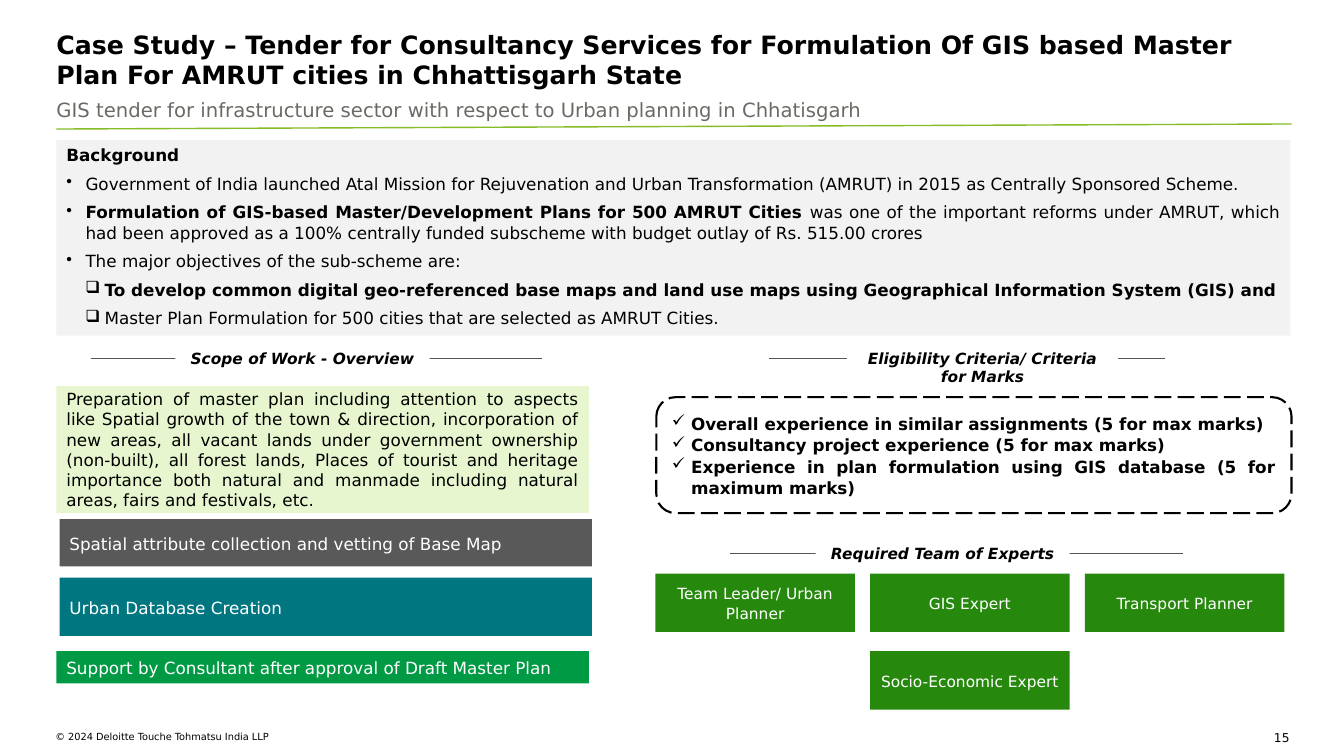
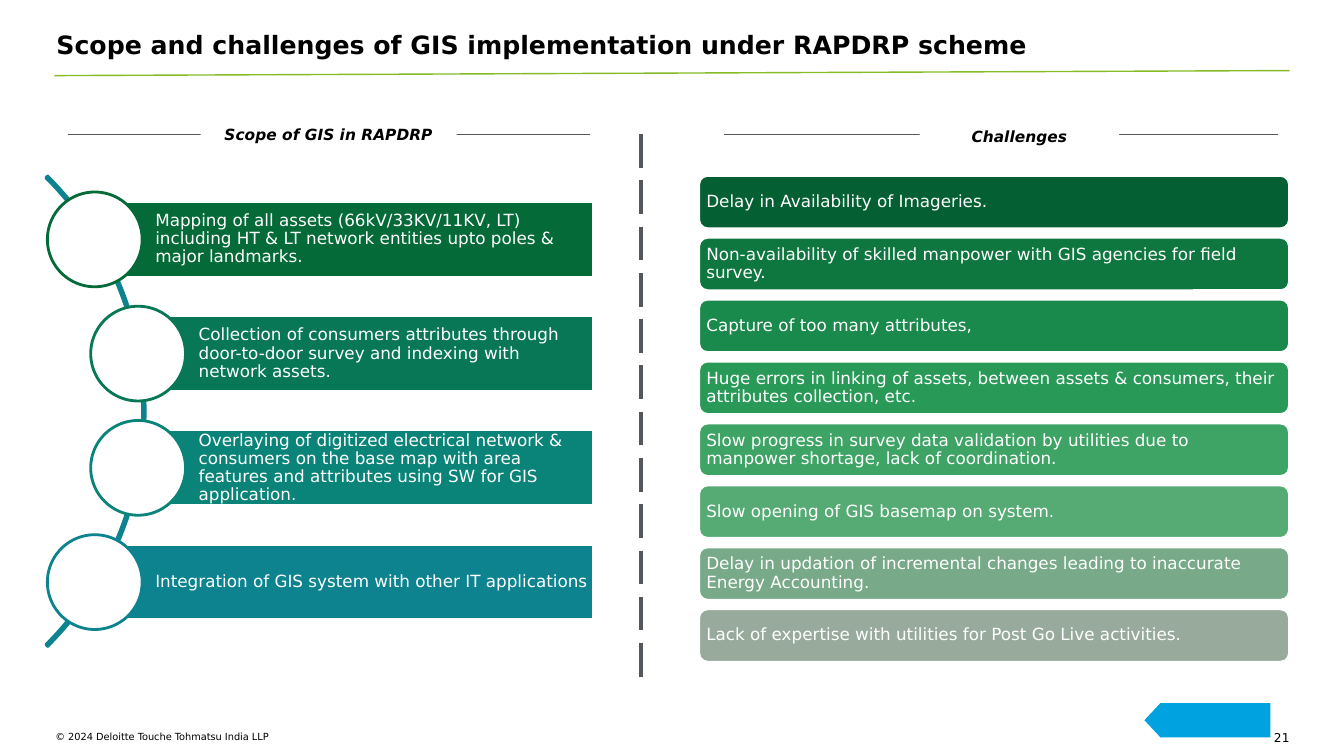
import pptx
import pptx.util
import pptx.dml.color
import pptx.enum.dml
import pptx.enum.shapes
import pptx.enum.text
import pptx.oxml.ns
import lxml.etree

Inches, Pt = pptx.util.Inches, pptx.util.Pt
RGBColor = pptx.dml.color.RGBColor
SHAPE = pptx.enum.shapes.MSO_SHAPE
ALIGN = pptx.enum.text.PP_ALIGN
ANCHOR = pptx.enum.text.MSO_ANCHOR
LONG_DASH = pptx.enum.dml.MSO_LINE.LONG_DASH
qn = pptx.oxml.ns.qn

# Shared style
FONT = "DejaVu Sans"
BLACK = RGBColor(0x00, 0x00, 0x00)
WHITE = RGBColor(0xFF, 0xFF, 0xFF)
SUBTITLE_GREY = RGBColor(0x6A, 0x6A, 0x65)
RULE_GREEN = RGBColor(0x86, 0xBC, 0x25)
LINE_GREY = RGBColor(0x53, 0x56, 0x5A)
PANEL_GREY = RGBColor(0xF2, 0xF2, 0xF2)
PALE_GREEN = RGBColor(0xE8, 0xF6, 0xCF)
DARK_GREY = RGBColor(0x59, 0x59, 0x59)
TEAL = RGBColor(0x00, 0x76, 0x80)
GREEN = RGBColor(0x00, 0x9A, 0x44)
EXPERT_GREEN = RGBColor(0x26, 0x89, 0x0D)
ARC_TEAL = RGBColor(0x0D, 0x83, 0x90)
ARROW_BLUE = RGBColor(0x00, 0xA3, 0xE0)
COPYRIGHT = "© 2024 Deloitte Touche Tohmatsu India LLP"
NO_INSET = (0, 0, 0, 0)
DEFAULT_INSET = (0.1, 0.05, 0.1, 0.05)
EVEN_INSET = (0.1, 0.1, 0.1, 0.1)

# Case study content: paragraphs are (bullet, level, [(text, bold), ...])
CASE_TITLE = ("Case Study – Tender for Consultancy Services for Formulation Of GIS based "
              "Master Plan For AMRUT cities in Chhattisgarh State")
CASE_SUBTITLE = ("GIS tender for infrastructure sector with respect to Urban planning "
                 "in Chhatisgarh")
BACKGROUND = [
    (None, 0, [("Background", True)]),
    ("•", 1, [("Government of India launched Atal Mission for Rejuvenation and Urban "
               "Transformation (AMRUT) in 2015 as Centrally Sponsored Scheme.", False)]),
    ("•", 1, [("Formulation of GIS-based Master/Development Plans for 500 AMRUT Cities ", True),
              ("was one of the important reforms under AMRUT, which had been approved as a "
               "100% centrally funded subscheme with budget outlay of Rs. 515.00 crores", False)]),
    ("•", 1, [("The major objectives of the sub-scheme are:", False)]),
    ("❑", 2, [("To develop common digital geo-referenced base maps and land use maps using "
               "Geographical Information System (GIS) and", True)]),
    ("❑", 2, [("Master Plan Formulation for 500 cities that are selected as AMRUT Cities.",
               False)]),
]
MASTER_PLAN = ("Preparation of master plan including attention to aspects like Spatial growth "
               "of the town & direction, incorporation of new areas, all vacant lands under "
               "government ownership (non-built), all forest lands, Places of tourist and "
               "heritage importance both natural and manmade including natural areas, fairs "
               "and festivals, etc.")
WORK_STEPS = [  # text, left, top, height, fill
    ("Spatial attribute collection and vetting of Base Map", 0.59, 5.15, 0.47, DARK_GREY),
    ("Urban Database Creation", 0.59, 5.73, 0.58, TEAL),
    ("Support by Consultant after approval of Draft Master Plan", 0.56, 6.46, 0.32, GREEN),
]
CRITERIA = [
    ("✓", 1, [(text, True)]) for text in (
        "Overall experience in similar assignments (5 for max marks)",
        "Consultancy project experience (5 for max marks)",
        "Experience in plan formulation using GIS database (5 for maximum marks)")
]
EXPERTS = [  # text, column, row
    ("Team Leader/ Urban Planner", 0, 0),
    ("GIS Expert", 1, 0),
    ("Transport Planner", 2, 0),
    ("Socio-Economic Expert", 1, 1),
]
# Headings: text, rule (left, right, y), label (left, top, width, height)
CASE_HEADINGS = [
    ("Scope of Work - Overview", (0.9, 5.38, 3.56), (1.74, 3.41, 2.52, 0.29)),
    ("Eligibility Criteria/ Criteria for Marks", (7.63, 11.55, 3.56), (8.4, 3.41, 2.69, 0.47)),
    ("Required Team of Experts", (7.24, 11.73, 5.49), (8.09, 5.35, 2.52, 0.29)),
]

# Scope and challenges content
SCHEME_TITLE = "Scope and challenges of GIS implementation under RAPDRP scheme"
SCHEME_HEADINGS = [
    ("Scope of GIS in RAPDRP", (0.67, 5.85, 1.33), (1.99, 1.19, 2.54, 0.29)),
    ("Challenges", (7.18, 12.68, 1.33), (9.12, 1.21, 1.98, 0.29)),
]
SCOPE = [  # text, left, colour
    ("Mapping of all assets (66kV/33KV/11KV, LT) including HT & LT network entities upto "
     "poles & major landmarks.", 0.94, RGBColor(0x04, 0x6A, 0x38)),
    ("Collection of consumers attributes through door-to-door survey and indexing with "
     "network assets.", 1.37, RGBColor(0x07, 0x77, 0x56)),
    ("Overlaying of digitized electrical network & consumers on the base map with area "
     "features and attributes using SW for GIS application.", 1.37,
     RGBColor(0x0A, 0x84, 0x78)),
    ("Integration of GIS system with other IT applications", 0.94, ARC_TEAL),
]
CHALLENGES = [
    ("Delay in Availability of Imageries.", RGBColor(0x04, 0x60, 0x33)),
    ("Non-availability of skilled manpower with GIS agencies for field survey.",
     RGBColor(0x0D, 0x77, 0x3F)),
    ("Capture of too many attributes,", RGBColor(0x19, 0x8A, 0x4B)),
    ("Huge errors in linking of assets, between assets & consumers, their attributes "
     "collection, etc.", RGBColor(0x29, 0x99, 0x58)),
    ("Slow progress in survey data validation by utilities due to manpower shortage, lack "
     "of coordination.", RGBColor(0x3E, 0xA4, 0x65)),
    ("Slow opening of GIS basemap on system.", RGBColor(0x56, 0xAB, 0x74)),
    ("Delay in updation of incremental changes leading to inaccurate Energy Accounting.",
     RGBColor(0x78, 0xA9, 0x88)),
    ("Lack of expertise with utilities for Post Go Live activities.",
     RGBColor(0x97, 0xAA, 0x9C)),
]


def spread(first, last, items):
    """Pair each item with its top, evenly spaced from first to last."""
    step = (last - first) / (len(items) - 1)
    return [(first + i * step, item) for i, item in enumerate(items)]


def write(shape, content, size=12, color=BLACK, bold=False, italic=False, align=ALIGN.LEFT,
          anchor=ANCHOR.MIDDLE, inset=EVEN_INSET, spacing=None, after=0):
    """Fill a shape with one string or a list of bulleted paragraphs."""
    if isinstance(content, str):
        content = [(None, 0, [(content, bold)])]
    frame = shape.text_frame
    frame.word_wrap = True
    frame.vertical_anchor = anchor
    (frame.margin_left, frame.margin_top,
     frame.margin_right, frame.margin_bottom) = map(Inches, inset)
    for i, (bullet, level, runs) in enumerate(content):
        paragraph = frame.add_paragraph() if i else frame.paragraphs[0]
        if bullet:
            props = paragraph._p.get_or_add_pPr()
            props.set("marL", str(Inches(0.19 * level)))
            props.set("indent", str(-Inches(0.19)))
            lxml.etree.SubElement(props, qn("a:buChar")).set("char", bullet)
        paragraph.alignment = align
        paragraph.space_after = Pt(after)
        if spacing:
            paragraph.line_spacing = spacing
        for text, strong in runs:
            run = paragraph.add_run()
            run.text = text
            font = run.font
            font.name, font.size, font.bold, font.italic = FONT, Pt(size), strong, italic
            font.color.rgb = color


def add_text(slide, box, content, **style):
    write(slide.shapes.add_textbox(*map(Inches, box)), content, anchor=ANCHOR.TOP, **style)


def add_box(slide, box, fill=None, kind=SHAPE.RECTANGLE, line=None, width=2):
    shape = slide.shapes.add_shape(kind, *map(Inches, box))
    shape.shadow.inherit = False
    if fill is None:
        shape.fill.background()
    else:
        shape.fill.solid()
        shape.fill.fore_color.rgb = fill
    if line is None:
        shape.line.fill.background()
    else:
        shape.line.color.rgb = line
        shape.line.width = Pt(width)
    return shape


def add_line(slide, start, end, color, width):
    line = slide.shapes.add_connector(pptx.enum.shapes.MSO_CONNECTOR.STRAIGHT,
                                      *map(Inches, start + end))
    line.line.color.rgb = color
    line.line.width = Pt(width)
    lxml.etree.SubElement(line._element.spPr, qn("a:effectLst"))
    return line


def start_slide(deck, title, number, rule_left, rule_top):
    """Add a slide with its footer, title and slightly rising title rule."""
    slide = deck.slides.add_slide(deck.slide_layouts[6])
    add_text(slide, (0.55, 7.25, 5.86, 0.22), COPYRIGHT, size=7, inset=NO_INSET)
    add_text(slide, (12.45, 7.25, 0.34, 0.11), number, size=8.7, align=ALIGN.RIGHT,
             inset=NO_INSET)
    add_text(slide, (0.56, 0.29, 12.34, 0.46), title, size=18, bold=True, inset=NO_INSET)
    add_line(slide, (rule_left, rule_top + 0.05), (rule_left + 12.25, rule_top), RULE_GREEN, 1)
    return slide


def add_headings(slide, headings):
    for text, (left, right, y), label in headings:
        add_line(slide, (left, y), (right, y), LINE_GREY, 0.75)
        write(add_box(slide, label, WHITE), text, size=11, bold=True, italic=True,
              align=ALIGN.CENTER, anchor=ANCHOR.TOP, inset=DEFAULT_INSET)


def build_case_study(deck):
    slide = start_slide(deck, CASE_TITLE, "15", 0.56, 1.23)
    add_text(slide, (0.56, 0.92, 12.62, 0.31), CASE_SUBTITLE, size=14, color=SUBTITLE_GREY,
             inset=(0, 0.05, 0, 0.05))
    write(add_box(slide, (0.56, 1.39, 12.24, 1.94), PANEL_GREY), BACKGROUND,
          align=ALIGN.JUSTIFY, anchor=ANCHOR.TOP, inset=DEFAULT_INSET, after=6)
    add_headings(slide, CASE_HEADINGS)

    # Scope of work
    write(add_box(slide, (0.56, 3.83, 5.28, 1.26), PALE_GREEN), MASTER_PLAN,
          align=ALIGN.JUSTIFY)
    for text, left, top, height, fill in WORK_STEPS:
        write(add_box(slide, (left, top, 5.28, height), fill), text, color=WHITE, spacing=1.06)

    # Eligibility criteria
    criteria = add_box(slide, (6.51, 3.94, 6.3, 1.15), kind=SHAPE.ROUNDED_RECTANGLE,
                       line=BLACK, width=1.5)
    criteria.line.dash_style = LONG_DASH
    write(criteria, CRITERIA, align=ALIGN.JUSTIFY, spacing=1.06)

    # Team of experts
    for text, column, row in EXPERTS:
        place = (6.5 + 2.13 * column, 5.69 + 0.77 * row, 1.98, 0.58)
        write(add_box(slide, place, EXPERT_GREEN), text, size=11, color=WHITE,
              align=ALIGN.CENTER, spacing=1.06)


def build_scope_and_challenges(deck):
    slide = start_slide(deck, SCHEME_TITLE, "21", 0.54, 0.7)

    # Scope: an arc with a circle at the head of each bar
    arc = add_box(slide, (-5.16, 0.78, 6.6, 6.6), kind=SHAPE.BLOCK_ARC, line=ARC_TEAL)
    for i, value in enumerate((189, 27, 0.004)):
        arc.adjustments[i] = value
    bar_right, bar_height, radius = 5.89, 0.75, 0.47
    for top, (text, left, color) in spread(2, 5.4, SCOPE):
        bar = add_box(slide, (left, top, bar_right - left, bar_height), color, line=WHITE)
        write(bar, text, color=WHITE, inset=(0.6, 0.03, 0.03, 0.03), spacing=0.9)
        add_box(slide, (left - radius, top + bar_height / 2 - radius, 2 * radius, 2 * radius),
                WHITE, SHAPE.OVAL, color)

    add_headings(slide, SCHEME_HEADINGS)

    # Challenges
    for top, (text, color) in spread(1.74, 6.04, CHALLENGES):
        card = add_box(slide, (6.93, top, 5.86, 0.53), color, SHAPE.ROUNDED_RECTANGLE, WHITE)
        write(card, text, color=WHITE, inset=(0.05, 0.05, 0.05, 0.05), spacing=0.9)

    # Divider and back arrow
    add_line(slide, (6.36, 1.33), (6.36, 6.76), LINE_GREY, 3).line.dash_style = LONG_DASH
    arrow = add_box(slide, (11.35, 6.97, 1.25, 0.35), ARROW_BLUE, SHAPE.LEFT_ARROW)
    arrow.adjustments[0], arrow.adjustments[1] = 0.97, 0.47


def main():
    deck = pptx.Presentation()
    deck.slide_width, deck.slide_height = Inches(13.33), Inches(7.5)
    build_case_study(deck)
    build_scope_and_challenges(deck)
    deck.save("out.pptx")


if __name__ == "__main__":
    main()
